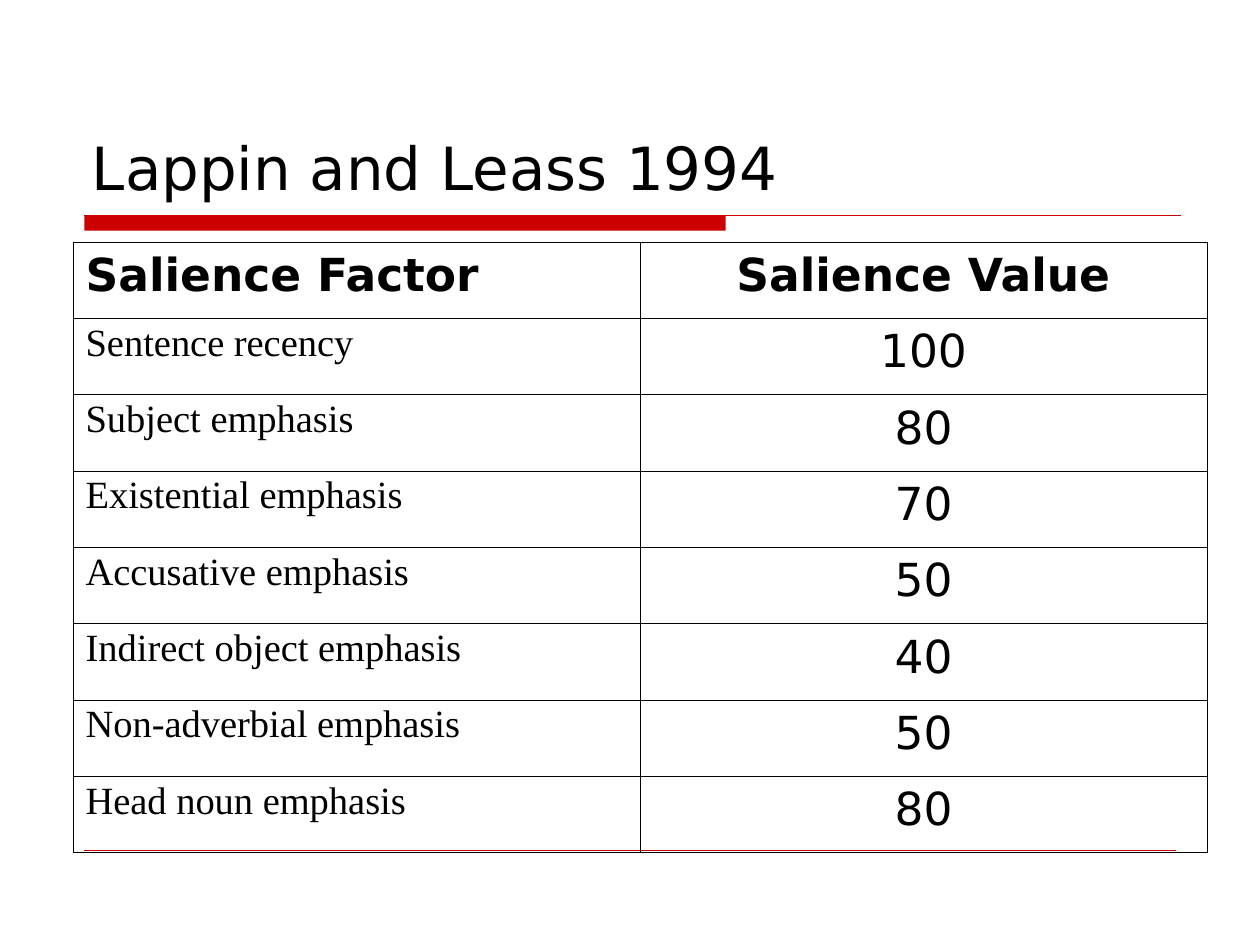
from lxml import etree
from pptx import Presentation
from pptx.dml.color import RGBColor
from pptx.enum.shapes import MSO_CONNECTOR, MSO_SHAPE
from pptx.enum.text import MSO_ANCHOR, PP_ALIGN
from pptx.oxml.ns import qn
from pptx.util import Inches, Pt

RED = RGBColor(0xCC, 0x00, 0x00)
BLACK = RGBColor(0x00, 0x00, 0x00)
SANS, SERIF = "DejaVu Sans", "Times New Roman"
OUTER, INNER = Pt(0.5), Pt(0.23)

ROWS = [
    ("Salience Factor", "Salience Value"),
    ("Sentence recency", "100"),
    ("Subject emphasis", "80"),
    ("Existential emphasis", "70"),
    ("Accusative emphasis", "50"),
    ("Indirect object emphasis", "40"),
    ("Non-adverbial emphasis", "50"),
    ("Head noun emphasis", "80"),
]


def add_rule(page, left, right, top, width):
    rule = page.shapes.add_connector(
        MSO_CONNECTOR.STRAIGHT, Inches(left), Inches(top), Inches(right), Inches(top))
    rule.line.color.rgb = RED
    rule.line.width = Pt(width)
    etree.SubElement(rule._element.spPr, qn("a:effectLst"))


def set_border(cell, side, width):
    """Draw one cell border; side is L, R, T or B, called in that order before the fill is set."""
    border = etree.SubElement(cell._tc.get_or_add_tcPr(), qn(f"a:ln{side}"), w=str(width))
    fill = etree.SubElement(border, qn("a:solidFill"))
    etree.SubElement(fill, qn("a:srgbClr"), val=str(BLACK))


deck = Presentation()
deck.slide_width, deck.slide_height = Inches(10), Inches(7.5)
page = deck.slides.add_slide(deck.slide_layouts[5])

# Title
title = page.shapes.title
title.left, title.top = Inches(0.63), Inches(0.33)
title.width, title.height = Inches(8.75), Inches(1.33)
title.text_frame.vertical_anchor = MSO_ANCHOR.BOTTOM
para = title.text_frame.paragraphs[0]
para.alignment = PP_ALIGN.LEFT
span = para.add_run()
span.text = "Lappin and Leass 1994"
span.font.name, span.font.size = SANS, Pt(34)
span.font.color.rgb = BLACK

# Red bar and rules
bar = page.shapes.add_shape(
    MSO_SHAPE.RECTANGLE, Inches(0.67), Inches(1.71), Inches(5.09), Inches(0.12))
bar.shadow.inherit = False
bar.fill.solid()
bar.fill.fore_color.rgb = RED
bar.line.fill.background()
add_rule(page, 0.67, 9.37, 1.71, 0.75)
add_rule(page, 0.67, 9.33, 6.75, 0.25)

# Salience table
table = page.shapes.add_table(
    len(ROWS), 2, Inches(0.58), Inches(1.92), Inches(9), Inches(4.85)).table
table.first_row = table.horz_banding = False
last_row = len(ROWS) - 1
for r, row in enumerate(ROWS):
    for c, text in enumerate(row):
        cell = table.cell(r, c)
        on_edge = {"L": c == 0, "R": c == 1, "T": r == 0, "B": r == last_row}
        for side, outer in on_edge.items():
            set_border(cell, side, OUTER if outer else INNER)
        cell.fill.background()

        is_factor = c == 0 and r > 0
        para = cell.text_frame.paragraphs[0]
        para.alignment = PP_ALIGN.CENTER if c == 1 else PP_ALIGN.LEFT
        para.line_spacing = 0.93 if is_factor else 1.02
        span = para.add_run()
        span.text = text
        span.font.name = SERIF if is_factor else SANS
        span.font.size = Pt(22 if is_factor else 26)
        span.font.bold = r == 0
        span.font.color.rgb = BLACK

deck.save("out.pptx")
